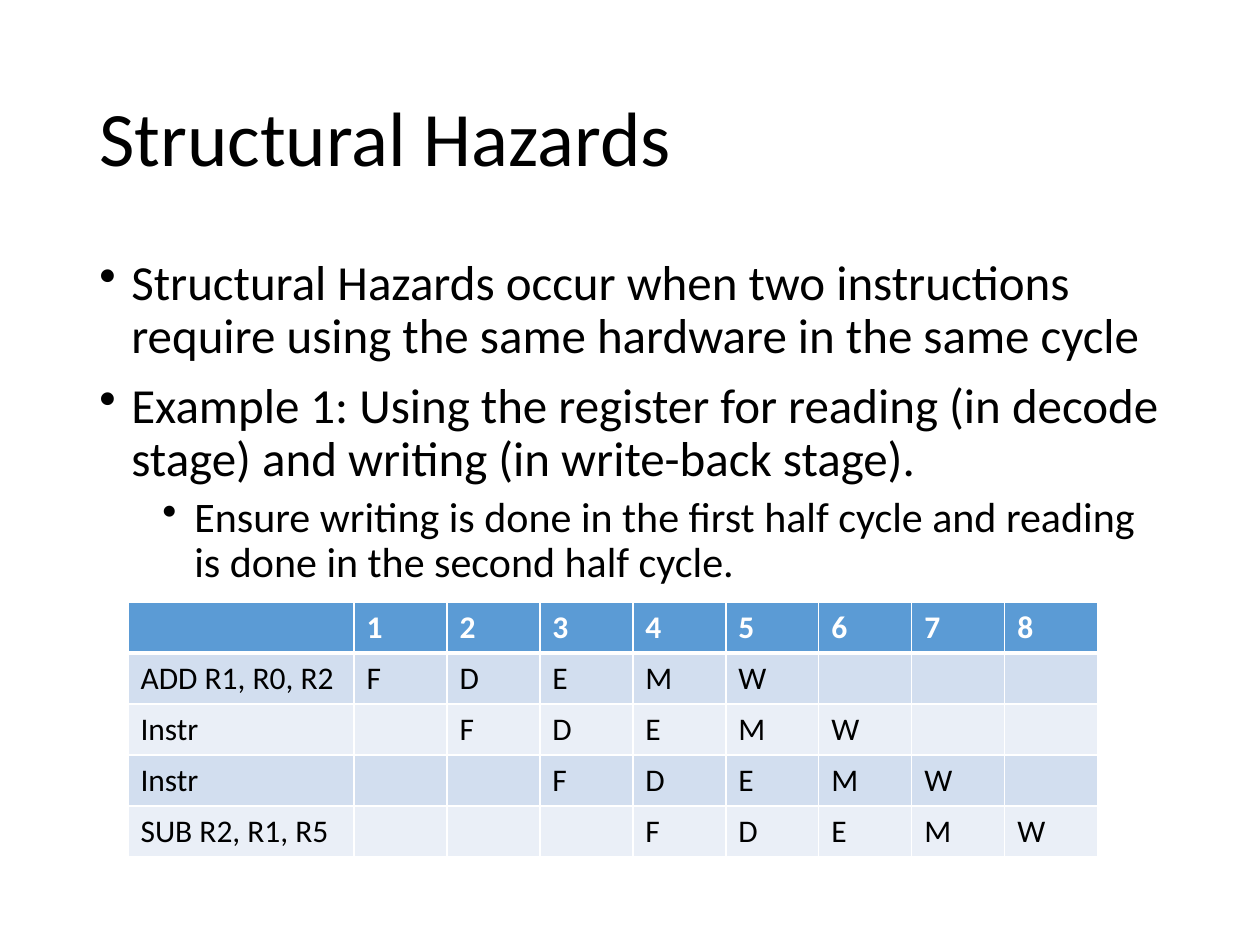
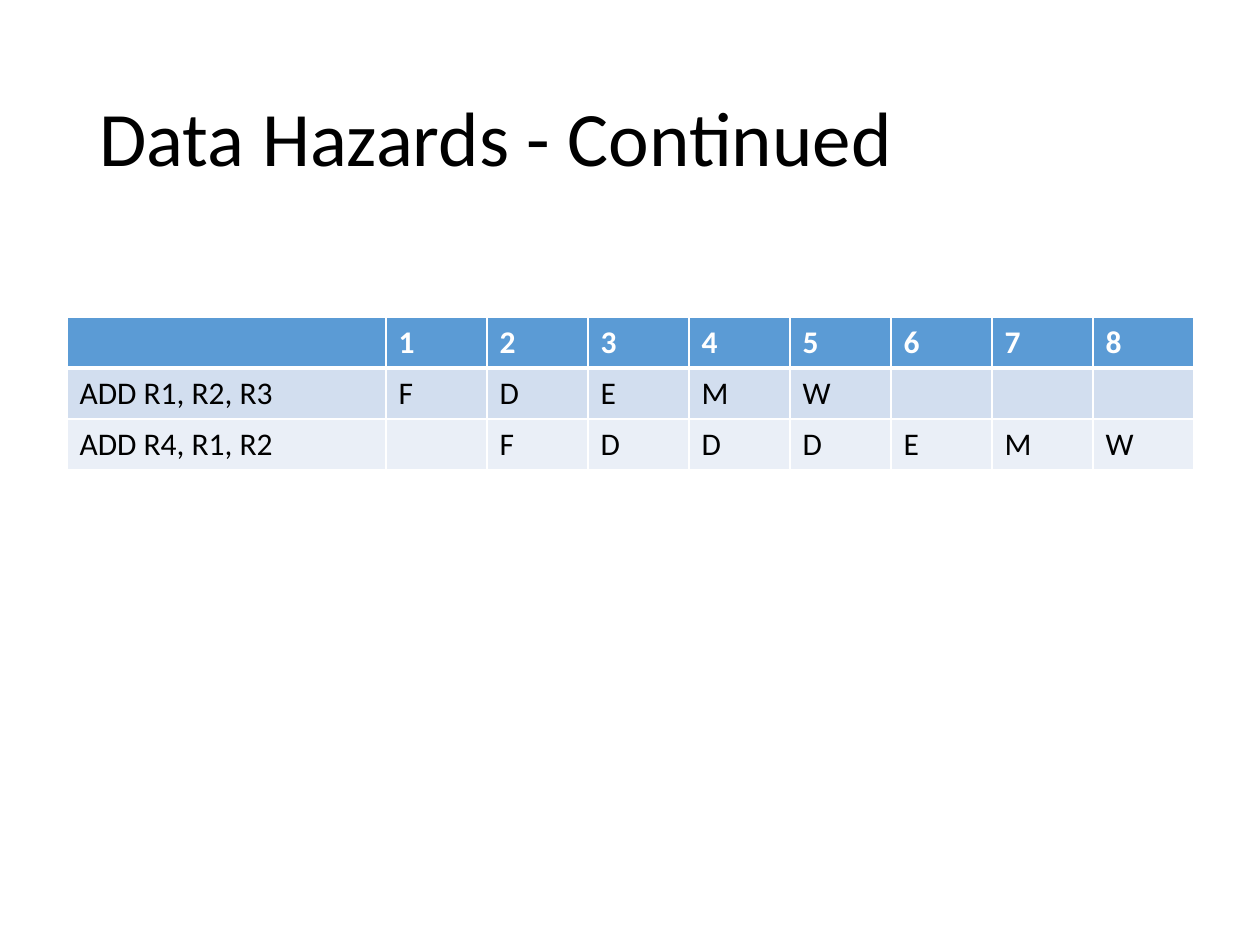
from lxml.etree import SubElement
from pptx import Presentation
from pptx.dml.color import RGBColor
from pptx.enum.text import MSO_ANCHOR
from pptx.oxml.ns import qn
from pptx.util import Emu, Pt

PX_PER_INCH = 126
FONT = "Calibri"
BLACK, WHITE = "000000", "FFFFFF"
HEADER_BLUE = "5B9BD5"
BANDS = ("D2DEEF", "EAEFF7")
TITLE_BOX = (87, 50, 1086, 183)
BODY_BOX = (87, 252, 1086, 352)
ROW_HEIGHT = 51
CYCLES = 8
LEVELS = ((28, 10, 32), (24, 5, 95))
BULLET_HANG = 32


def px(length):
    return Emu(round(length * 914400 / PX_PER_INCH))


def rgb(color):
    return RGBColor.from_string(color)


def add_run(paragraph, words, size, color=BLACK, bold=False):
    run = paragraph.add_run()
    run.text = words
    run.font.name = FONT
    run.font.size = Pt(size)
    run.font.bold = bold
    run.font.color.rgb = rgb(color)


def add_text_frame(slide, box, anchor):
    frame = slide.shapes.add_textbox(*map(px, box)).text_frame
    frame.word_wrap = True
    frame.vertical_anchor = anchor
    return frame


def add_title(slide, words):
    heading = add_text_frame(slide, TITLE_BOX, MSO_ANCHOR.MIDDLE).paragraphs[0]
    heading.line_spacing = 0.9
    add_run(heading, words, 44)


def add_bullets(slide, box, points):
    body = add_text_frame(slide, box, MSO_ANCHOR.TOP)
    for index, (level, words) in enumerate(points):
        point = body.add_paragraph() if index else body.paragraphs[0]
        size, gap, indent = LEVELS[level]
        properties = point._p.get_or_add_pPr()
        properties.set("marL", str(px(indent)))
        properties.set("indent", str(px(-BULLET_HANG)))
        SubElement(properties, qn("a:buChar"), char="•")
        point.level = level
        point.line_spacing = 0.9
        point.space_before = Pt(gap if index else 0)
        add_run(point, words, size)


def add_border(cell, side, points):
    line = SubElement(cell._tc.get_or_add_tcPr(), qn(f"a:ln{side}"), w=str(Pt(points)))
    fill = SubElement(line, qn("a:solidFill"))
    SubElement(fill, qn("a:srgbClr"), val=WHITE)


def style_cell(cell, row, color):
    top = 3 if row == 1 else 1
    bottom = 3 if row == 0 else 1
    for side, points in (("L", 1), ("R", 1), ("T", top), ("B", bottom)):
        add_border(cell, side, points)
    cell.fill.solid()
    cell.fill.fore_color.rgb = rgb(color)


def add_pipeline(slide, left, top, name_width, cycle_width, instructions):
    rows = [["", *map(str, range(1, CYCLES + 1))]]
    for name, start, stages in instructions:
        rows.append([name, *(" " * (start - 1) + stages).ljust(CYCLES)])
    widths = [name_width] + [cycle_width] * CYCLES
    box = (left, top, sum(widths), ROW_HEIGHT * len(rows))
    pipeline = slide.shapes.add_table(len(rows), len(widths), *map(px, box)).table
    for column, width in zip(pipeline.columns, widths):
        column.width = px(width)
    for row, labels in enumerate(rows):
        pipeline.rows[row].height = px(ROW_HEIGHT)
        is_header = row == 0
        fill = HEADER_BLUE if is_header else BANDS[(row - 1) % 2]
        for column, label in enumerate(labels):
            cell = pipeline.cell(row, column)
            style_cell(cell, row, fill)
            if label.strip():
                add_run(cell.text_frame.paragraphs[0], label, 18,
                        WHITE if is_header else BLACK, is_header)


def build_structural_hazards(slide):
    add_title(slide, "Structural Hazards")
    add_bullets(slide, BODY_BOX, (
        (0, "Structural Hazards occur when two instructions require using "
            "the same hardware in the same cycle"),
        (0, "Example 1: Using the register for reading (in decode stage) "
            "and writing (in write-back stage)."),
        (1, "Ensure writing is done in the first half cycle and reading "
            "is done in the second half cycle."),
    ))
    names = ("ADD R1, R0, R2", "Instr", "Instr", "SUB R2, R1, R5")
    add_pipeline(slide, 128, 602, 226, 93,
                 [(name, start, "FDEMW") for start, name in enumerate(names, 1)])


def build_data_hazards(slide):
    add_title(slide, "Data Hazards - Continued")
    add_pipeline(slide, 67, 317, 319, 101, (
        ("ADD R1, R2, R3", 1, "FDEMW"),
        ("ADD R4, R1, R2", 2, "FDDDEMW"),
    ))


def main():
    deck = Presentation()
    deck.slide_width, deck.slide_height = px(1260), px(945)
    for build in (build_structural_hazards, build_data_hazards):
        build(deck.slides.add_slide(deck.slide_layouts[6]))
    deck.save("out.pptx")


if __name__ == "__main__":
    main()
